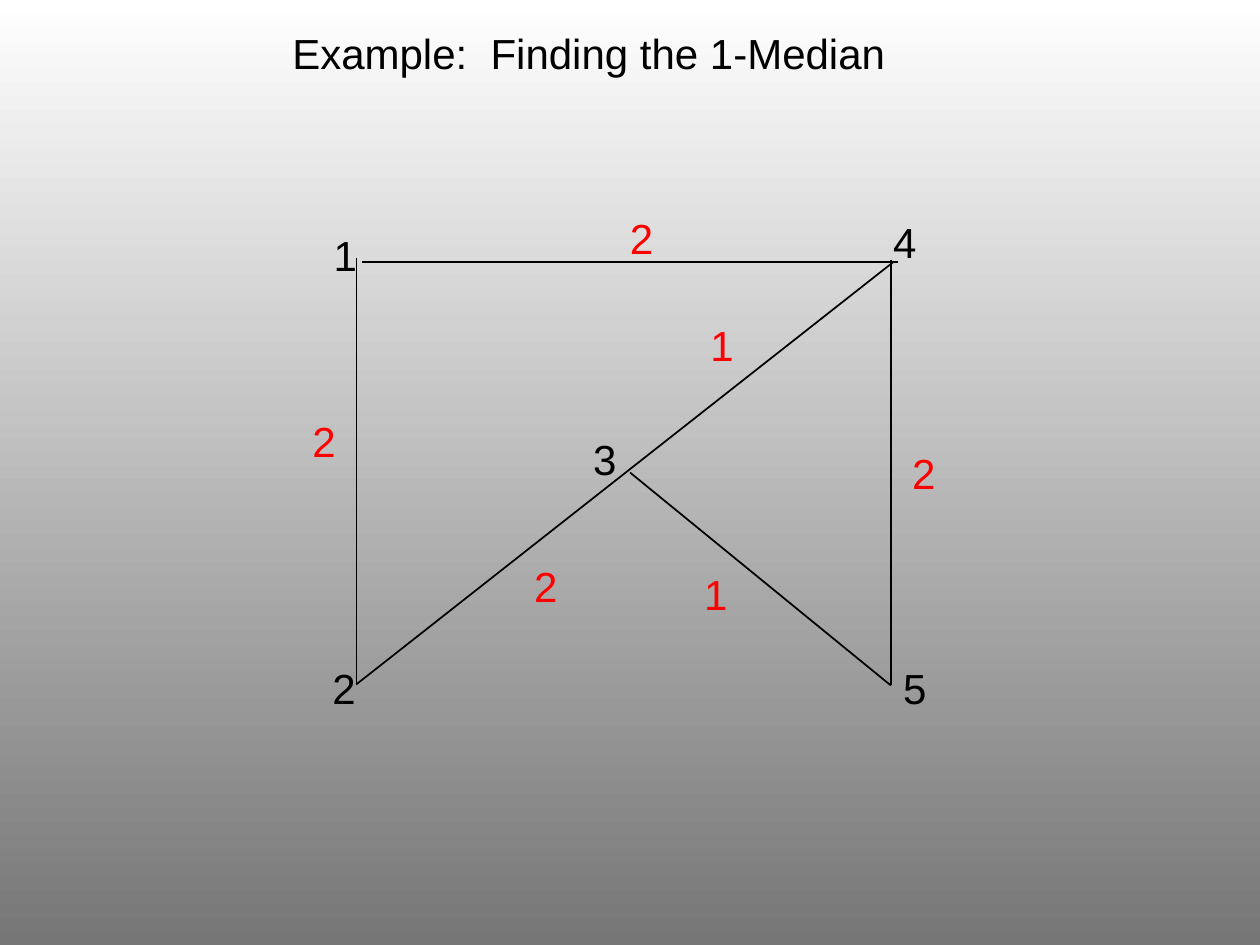
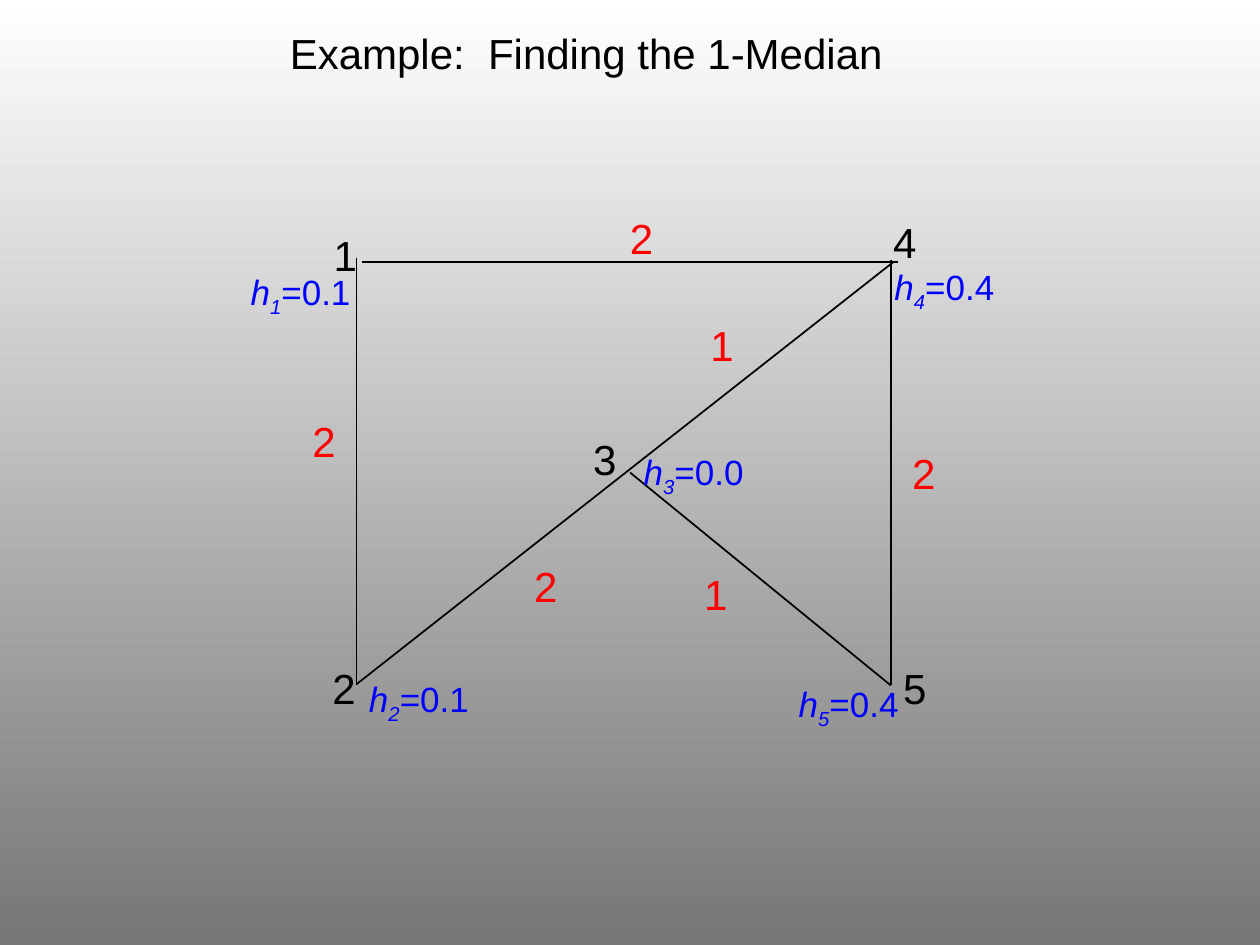
from dataclasses import dataclass

from lxml import etree
from pptx import Presentation
from pptx.dml.color import RGBColor
from pptx.enum.shapes import MSO_CONNECTOR
from pptx.enum.text import MSO_ANCHOR, MSO_AUTO_SIZE, PP_ALIGN
from pptx.oxml.ns import qn
from pptx.util import Pt

PX = 9144  # EMU per px, 100 px to the inch


@dataclass(frozen=True)
class Theme:
    font: str = "Arial"
    ink: str = "000000"
    distance: str = "FF0000"
    demand: str = "0000FF"
    bg: tuple = ("FFFFFF", "767676")
    text_size: int = 24
    demand_size: int = 20
    line_width: int = 1


T = Theme()
TITLE = "Example:  Finding the 1-Median"

EDGES = [
    (283, 205, 283, 544),
    (707, 206, 707, 544),
    (287, 208, 713, 208),
    (283, 543, 709, 208),
    (500, 375, 707, 544),
]
NODES = [("1", 255, 177), ("2", 254, 521), ("3", 461, 339), ("4", 699, 167), ("5", 707, 521)]
DISTANCES = [
    ("2", 490, 164),
    ("2", 238, 325),
    ("2", 714, 350),
    ("2", 414, 440),
    ("1", 554, 249),
    ("1", 549, 446),
]
DEMANDS = [
    ("1", "=0.1", 189, 210),
    ("2", "=0.1", 283, 533),
    ("3", "=0.0", 501, 353),
    ("4", "=0.4", 700, 206),
    ("5", "=0.4", 624, 537),
]


def place(sp, x, y, w, h):
    """Position a text shape on one line and return its first paragraph."""
    sp.left, sp.top, sp.width, sp.height = (v * PX for v in (x, y, w, h))
    tf = sp.text_frame
    tf.word_wrap = False
    tf.auto_size = MSO_AUTO_SIZE.NONE
    tf.vertical_anchor = MSO_ANCHOR.TOP
    tf.margin_right = 0
    p = tf.paragraphs[0]
    p.alignment = PP_ALIGN.LEFT
    return p


def add_run(p, text, color, size=T.text_size, italic=False):
    r = p.add_run()
    r.text = text
    r.font.name = T.font
    r.font.size = Pt(size)
    r.font.italic = italic
    r.font.color.rgb = RGBColor.from_string(color)
    return r


prs = Presentation()
prs.slide_width, prs.slide_height = 1000 * PX, 750 * PX

fill = prs.slide_master.background.fill
fill.gradient()
fill.gradient_angle = 270
for stop, color in zip(fill.gradient_stops, T.bg):
    stop.color.rgb = RGBColor.from_string(color)

for title_x, demands in ((222, []), (220, DEMANDS)):
    s = prs.slides.add_slide(prs.slide_layouts[5])
    add_run(place(s.shapes.title, title_x, 17, 490, 50), TITLE, T.ink)

    for edge in EDGES:
        line = s.shapes.add_connector(MSO_CONNECTOR.STRAIGHT, *(v * PX for v in edge))
        line.line.color.rgb = RGBColor.from_string(T.ink)
        line.line.width = Pt(T.line_width)
        etree.SubElement(line._element.spPr, qn("a:effectLst"))

    for labels, color in ((NODES, T.ink), (DISTANCES, T.distance)):
        for text, x, y in labels:
            sp = s.shapes.add_textbox(0, 0, 0, 0)
            add_run(place(sp, x, y, 38, 50), text, color)

    for node, value, x, y in demands:
        p = place(s.shapes.add_textbox(0, 0, 0, 0), x, y, 99, 48)
        add_run(p, "h", T.demand, T.demand_size, italic=True)
        r = add_run(p, node, T.demand, T.demand_size, italic=True)
        r.font._element.set("baseline", "-25000")
        add_run(p, value, T.demand, T.demand_size)

prs.save("out.pptx")
